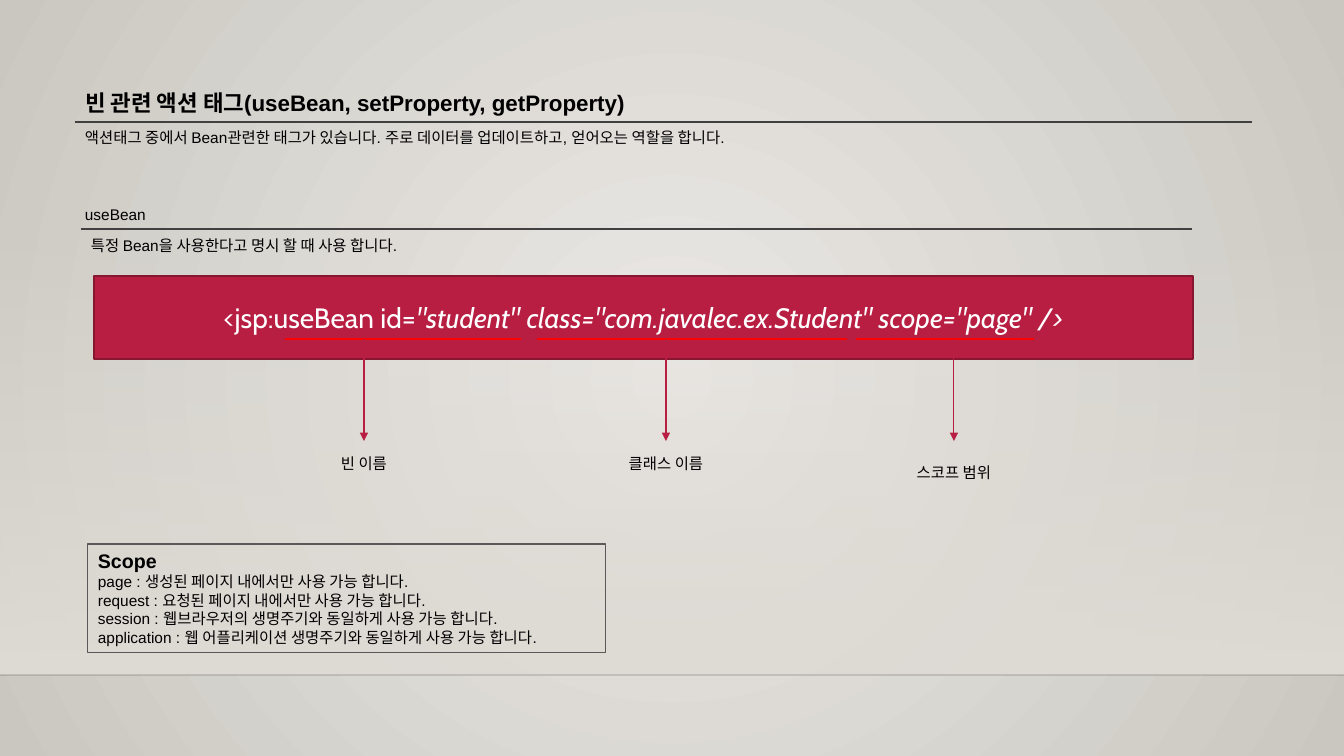
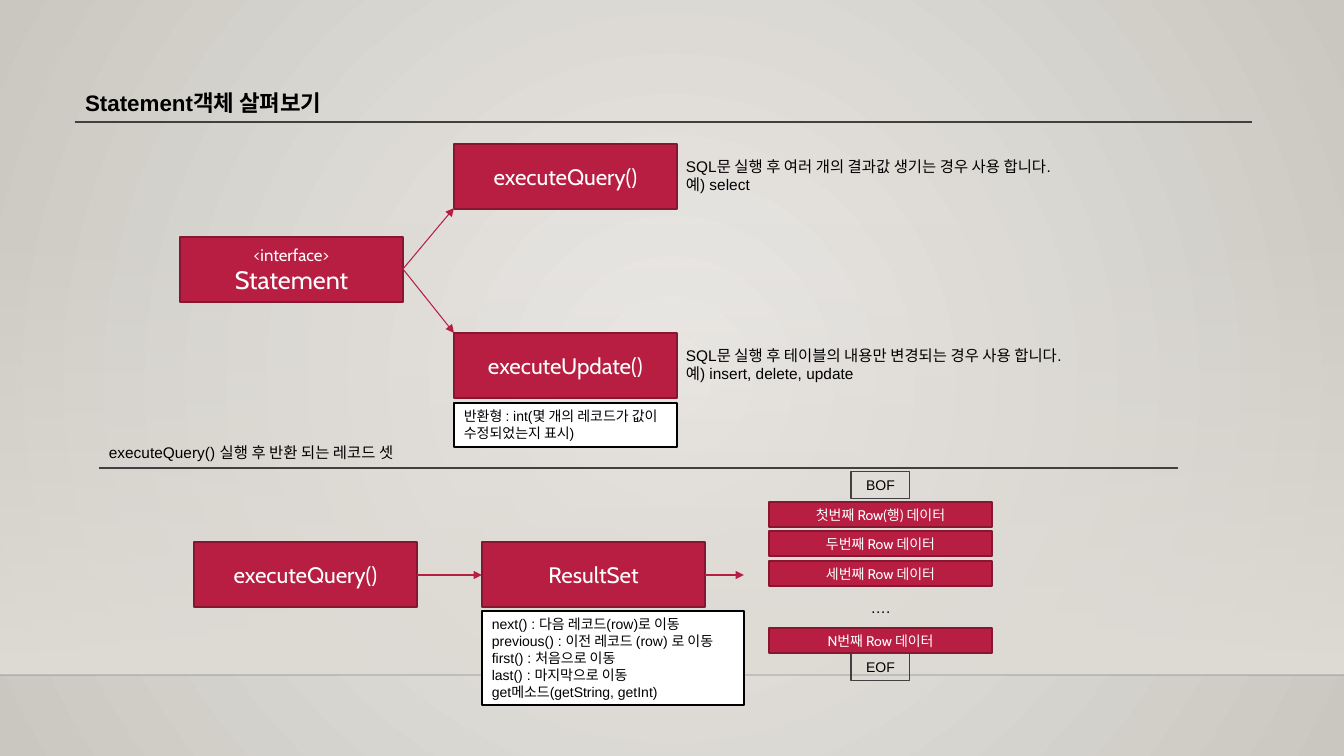
from dataclasses import dataclass

from lxml import etree
from pptx import Presentation
from pptx import util as u
from pptx.dml.color import RGBColor
from pptx.enum import shapes, text
from pptx.oxml import parse_xml
from pptx.oxml.ns import nsdecls, qn


@dataclass(frozen=True)
class Theme:
    red: str = "B71E42"
    wine: str = "871631"
    mark: str = "FF0000"
    white: str = "FFFFFF"
    black: str = "000000"
    rule: str = "404040"
    frame: str = "595959"
    floor: str = "000001"
    sand: str = "DFDBD5"
    light: str = "ECEAE7"
    dark: str = "CAC7C1"
    body: str = "Arial"
    code: str = "Cabin"
    title: int = 16
    head: int = 14
    text: int = 11
    small: int = 10
    tag: int = 12
    name: int = 18
    call: int = 16
    syntax: int = 20


T = Theme()
CENTER = text.PP_ALIGN.CENTER
WIDE, HIGH = 1344, 756


def px(n):
    return u.Emu(round(n * 914400 / 100.8))


def rgb(code):
    return RGBColor.from_string(code)


def blend(root, first, last, shape, alpha=100):
    """Replace the first solid fill under root with a two-stop gradient."""
    solid = root.xpath(".//a:solidFill")[0]
    grad = parse_xml(
        f'<a:gradFill {nsdecls("a")} rotWithShape="1"><a:gsLst>'
        f'<a:gs pos="0"><a:srgbClr val="{first}">'
        f'<a:alpha val="{alpha * 1000}"/></a:srgbClr></a:gs>'
        f'<a:gs pos="100000"><a:srgbClr val="{last}"/></a:gs>'
        f'</a:gsLst>{shape}</a:gradFill>')
    solid.getparent().replace(solid, grad)


class Deck:
    def __init__(self):
        self.prs = Presentation()
        self.prs.slide_width, self.prs.slide_height = px(WIDE), px(HIGH)
        self.slide = None

    def page(self, title):
        self.slide = self.prs.slides.add_slide(self.prs.slide_layouts[5])
        head = self.slide.shapes.title
        self.place(head, 75, 84, 1177, 37)
        self.put(head, [title], size=T.title, bold=True)
        self.line(75, 122, 1252, 122)

    def stage(self):
        """Give the master its backdrop, made on the current slide and moved."""
        master = self.prs.slide_master
        master.background.fill.solid()
        blend(master.element.xpath(".//p:bg")[0], T.light, T.dark,
              '<a:path path="circle"><a:fillToRect l="50000" t="50000" '
              'r="50000" b="50000"/></a:path>')
        band = self.rect(0, 223, WIDE, 452, T.sand)
        blend(band.element, T.sand, T.sand, '<a:lin ang="5400000"/>', 0)
        floor = self.line(0, 675, WIDE, 675, T.floor)
        color = floor.element.xpath(".//a:ln//a:srgbClr")[0]
        etree.SubElement(color, qn("a:alpha"), val="20000")
        tree = master.shapes.element
        for spot, part in enumerate((band, floor)):
            part.element.xpath(".//p:cNvPr")[0].set("id", str(100 + spot))
            tree.insert(2 + spot, part.element)

    def place(self, shape, x, y, w, h):
        for key, val in dict(left=x, top=y, width=w, height=h).items():
            setattr(shape, key, px(val))

    def put(self, shape, lines, align=text.PP_ALIGN.LEFT, mid=False,
            color=T.black, **style):
        """Set a shape's text; a line is a string or a list of (string, format)."""
        frame = shape.text_frame
        fit = text.MSO_AUTO_SIZE
        frame.word_wrap = True
        frame.auto_size = fit.NONE if mid else fit.SHAPE_TO_FIT_TEXT
        anchor = text.MSO_ANCHOR
        frame.vertical_anchor = anchor.MIDDLE if mid else anchor.TOP
        for i, line in enumerate(lines):
            para = frame.add_paragraph() if i else frame.paragraphs[0]
            para.alignment = align
            for words, extra in [(line, {})] if isinstance(line, str) else line:
                run = para.add_run()
                run.text = words
                look = {"name": T.body, "size": T.text, **style, **extra}
                look["size"] = u.Pt(look["size"])
                for key, val in look.items():
                    setattr(run.font, key, val)
                run.font.color.rgb = rgb(color)

    def rect(self, x, y, w, h, fill=None, edge=None, weight=1.25):
        shape = self.slide.shapes.add_shape(
            shapes.MSO_SHAPE.RECTANGLE, px(x), px(y), px(w), px(h))
        shape.shadow.inherit = False
        for part, color in ((shape.fill, fill), (shape.line.fill, edge)):
            if color:
                part.solid()
                part.fore_color.rgb = rgb(color)
            else:
                part.background()
        if edge:
            shape.line.width = u.Pt(weight)
        return shape

    def block(self, x, y, lines, size=T.call, w=223, h=65):
        """Red box with centred white text."""
        self.put(self.rect(x, y, w, h, T.red, T.wine), lines, CENTER, True,
                 T.white, name=T.code, size=size)

    def card(self, x, y, w, h, lines, **style):
        """White box with a black edge."""
        self.put(self.rect(x, y, w, h, T.white, T.black), lines,
                 size=T.small, **style)

    def frame(self, x, y, w, h, lines, edge=T.rule, **style):
        """Unfilled box with a thin edge."""
        self.put(self.rect(x, y, w, h, None, edge, 0.75), lines, **style)

    def label(self, x, y, w, lines, h=29, **style):
        box = self.slide.shapes.add_textbox(px(x), px(y), px(w), px(h))
        self.put(box, lines, **style)

    def line(self, x1, y1, x2, y2, color=T.rule, weight=1):
        line = self.slide.shapes.add_connector(
            shapes.MSO_CONNECTOR.STRAIGHT, px(x1), px(y1), px(x2), px(y2))
        line.line.color.rgb = rgb(color)
        line.line.width = u.Pt(weight)
        etree.SubElement(line.element.spPr, qn("a:effectLst"))
        return line

    def arrow(self, x1, y1, x2, y2):
        line = self.line(x1, y1, x2, y2, T.red, 0.75)
        stroke = line.element.xpath(".//a:ln")[0]
        etree.SubElement(stroke, qn("a:tailEnd"), type="triangle")


def beans(deck):
    deck.page("빈 관련 액션 태그(useBean, setProperty, getProperty)")
    deck.stage()
    deck.label(75, 200, 1177, ["useBean"])
    deck.line(81, 229, 1192, 229)
    deck.label(75, 123, 1177, [
        "액션태그 중에서 Bean관련한 태그가 있습니다. "
        "주로 데이터를 업데이트하고, 얻어오는 역할을 합니다."])
    deck.label(81, 231, 1112, ["특정 Bean을 사용한다고 명시 할 때 사용 합니다."])
    deck.block(94, 276, [[
        ("<jsp:useBean id=", {}),
        ('"student" class="com.javalec.ex.Student" scope="page" />',
         {"italic": True})]], T.syntax, 1099, 83)
    marks = (
        (285, 521, 364, 449, "빈 이름"),
        (537, 847, 666, 449, "클래스 이름"),
        (856, 1034, 954, 458, "스코프 범위"))
    for start, end, mid, top, name in marks:
        deck.line(start, 339, end, 339, T.mark, 2)
        deck.arrow(mid, 339, mid, 441)
        deck.label(mid - 61, top, 122, [name], align=CENTER)
    deck.frame(88, 544, 518, 109, [
        [("Scope", {"size": T.head, "bold": True})],
        "page : 생성된 페이지 내에서만 사용 가능 합니다.",
        "request : 요청된 페이지 내에서만 사용 가능 합니다.",
        "session : 웹브라우저의 생명주기와 동일하게 사용 가능 합니다.",
        "application : 웹 어플리케이션 생명주기와 동일하게 사용 가능 합니다.",
    ], T.frame)


def queries(deck):
    deck.page("Statement객체 살펴보기")
    deck.block(180, 237, [
        [("<interface>", {"size": T.tag})],
        [("Statement", {"size": T.name})]])
    calls = (
        (144, 208, "executeQuery()", [
            "SQL문 실행 후 여러 개의 결과값 생기는 경우 사용 합니다.",
            "예) select"]),
        (333, 333, "executeUpdate()", [
            "SQL문 실행 후 테이블의 내용만 변경되는 경우 사용 합니다.",
            "예) insert, delete, update"]))
    for top, tip, name, note in calls:
        deck.block(454, top, [name])
        deck.arrow(403, 269, 454, tip)
        deck.label(676, top + 8, 487, note, 47)
    deck.card(454, 403, 223, 44,
              ["반환형 : int(몇 개의 레코드가 값이 수정되었는지 표시)"])

    deck.line(99, 468, 1178, 468)
    deck.label(99, 438, 1080, ["executeQuery() 실행 후 반환 되는 레코드 셋"])
    flow = ((194, 482, "executeQuery()"), (482, 744, "ResultSet"))
    for left, tip, name in flow:
        deck.block(left, 542, [name])
        deck.arrow(left + 223, 575, tip, 575)
    deck.card(482, 611, 262, 94, [
        "next() : 다음 레코드(row)로 이동",
        "previous() : 이전 레코드 (row) 로 이동",
        "first() : 처음으로 이동",
        "last() : 마지막으로 이동",
        "get메소드(getString, getInt)"])

    rows = ((502, "첫번째 Row(행) 데이터"), (531, "두번째 Row 데이터"),
            (561, "세번째 Row 데이터"), (628, "N번째 Row 데이터"))
    for top, name in rows:
        deck.block(769, top, [name], T.small, h=25)
    deck.label(769, 593, 223, ["…."], align=CENTER)
    for top, name in ((472, "BOF"), (654, "EOF")):
        deck.frame(851, top, 59, 27, [name], align=CENTER, size=T.small)


def main():
    deck = Deck()
    beans(deck)
    queries(deck)
    deck.prs.save("out.pptx")


if __name__ == "__main__":
    main()
